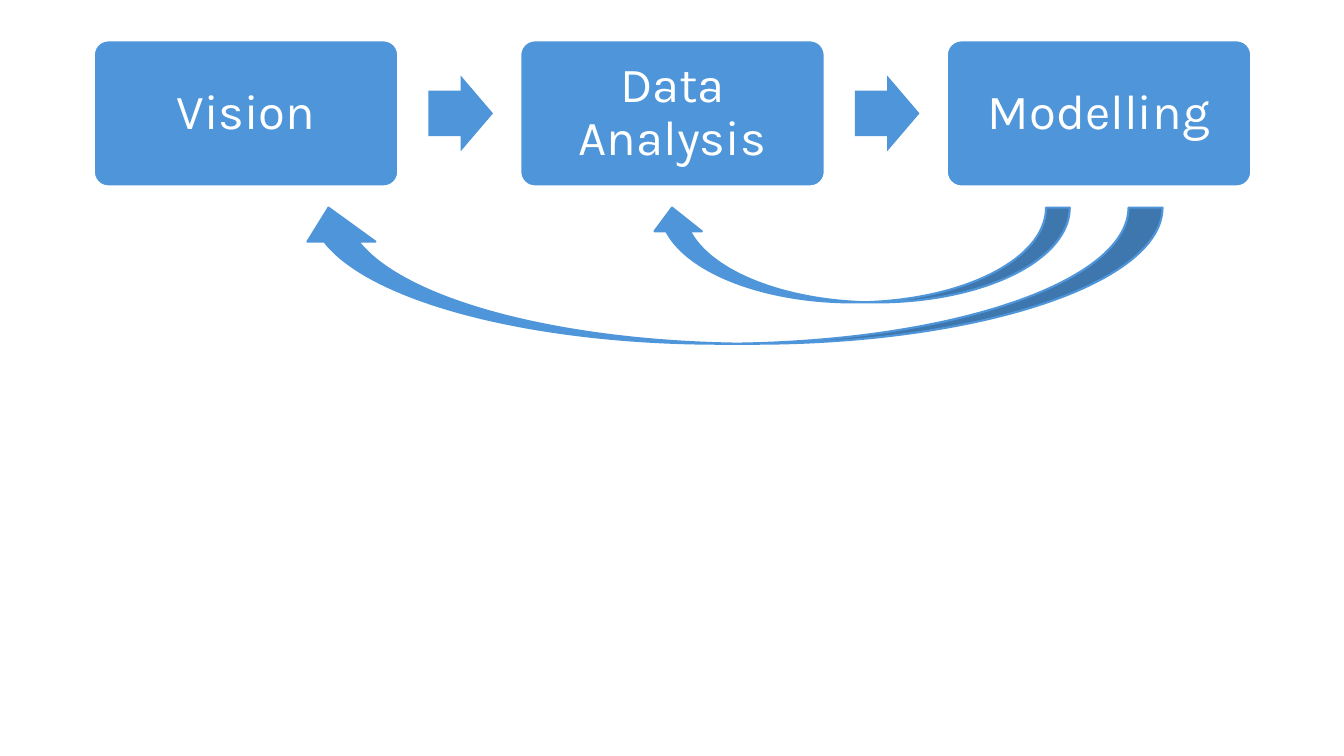
from dataclasses import dataclass

from pptx import Presentation
from pptx.dml.color import RGBColor
from pptx.enum.shapes import MSO_SHAPE as Kind
from pptx.enum.text import MSO_ANCHOR as Anchor, PP_ALIGN as Align
from pptx.shapes.autoshape import Shape
from pptx.slide import Slide
from pptx.util import Inches, Pt

BLUE, WHITE = "4E95D9", "FFFFFF"
FONT = "Karla"

# Row of steps
STEPS = ("Vision", "Data Analysis", "Modelling")
LEFT, TOP, WIDE, HIGH = 0.93, 0.4, 3.02, 1.45
PITCH = 4.23
INSET = 0.04
GAP = 0.3
ARROW_W, ARROW_H = 0.64, 0.75


@dataclass
class Box:
    x: float
    y: float
    w: float
    h: float

    def lengths(self) -> list[int]:
        return [Inches(v) for v in (self.x, self.y, self.w, self.h)]


# Arrows that lead back from modelling
LOOPS = (Box(2.92, 2.06, 8.61, 1.35), Box(6.43, 2.06, 4.18, 0.94))


def color(code: str) -> RGBColor:
    return RGBColor.from_string(code)


def add_part(slide: Slide, kind: Kind, box: Box, *, line: str | None = None,
             adjust: tuple[float, ...] = (), turn: float = 0) -> Shape:
    part = slide.shapes.add_shape(kind, *box.lengths())
    part.shadow.inherit = False
    part.rotation = turn
    part.fill.solid()
    part.fill.fore_color.rgb = color(BLUE)
    if line:
        part.line.color.rgb = color(line)
        part.line.width = Pt(1.5)
    else:
        part.line.fill.background()
    for i, value in enumerate(adjust):
        part.adjustments[i] = value
    return part


def add_text(slide: Slide, text: str, box: Box, *, size: float = 35,
             ink: str = WHITE, margin: float = 0.15) -> None:
    frame = slide.shapes.add_textbox(*box.lengths()).text_frame
    frame.word_wrap = True
    frame.vertical_anchor = Anchor.MIDDLE
    frame.margin_left = frame.margin_right = Inches(margin)
    frame.margin_top = frame.margin_bottom = Inches(margin)
    para = frame.paragraphs[0]
    para.alignment = Align.CENTER
    para.line_spacing = 0.9
    run = para.add_run()
    run.text = text
    run.font.name = FONT
    run.font.size = Pt(size)
    run.font.color.rgb = color(ink)


def main() -> None:
    deck = Presentation()
    deck.slide_width, deck.slide_height = Inches(13.33), Inches(7.5)
    slide = deck.slides.add_slide(deck.slide_layouts[6])

    # Steps, with an arrow between neighbours
    for i, name in enumerate(STEPS):
        x = LEFT + i * PITCH
        if i:
            arrow = Box(x - PITCH + WIDE + GAP, TOP + (HIGH - ARROW_H) / 2,
                        ARROW_W, ARROW_H)
            add_part(slide, Kind.RIGHT_ARROW, arrow, adjust=(0.6, 0.5))
        add_part(slide, Kind.ROUNDED_RECTANGLE, Box(x, TOP, WIDE, HIGH),
                 line=WHITE, adjust=(0.1,))
        add_text(slide, name, Box(x + INSET, TOP + INSET,
                                  WIDE - 2 * INSET, HIGH - 2 * INSET))

    # Loops back to earlier steps
    for loop in LOOPS:
        add_part(slide, Kind.CURVED_DOWN_ARROW, loop, line=BLUE, turn=180)

    deck.save("out.pptx")


if __name__ == "__main__":
    main()
